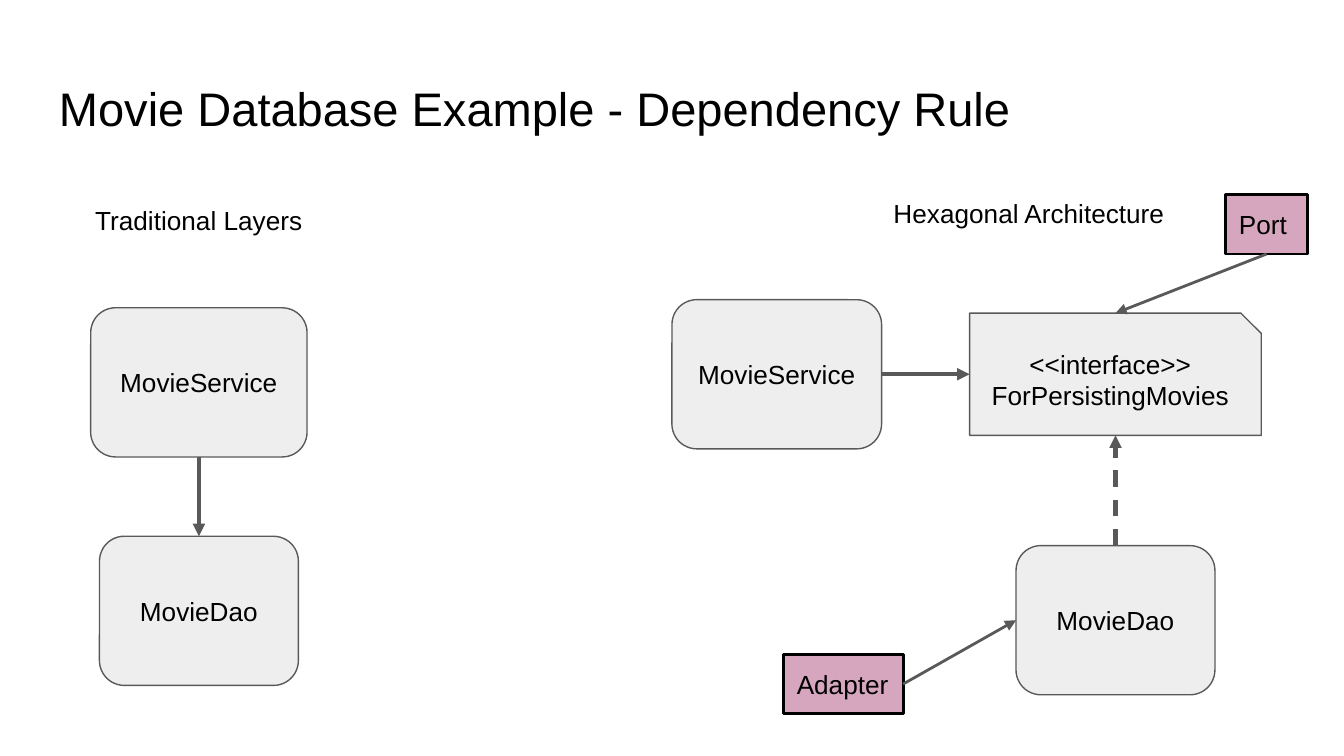
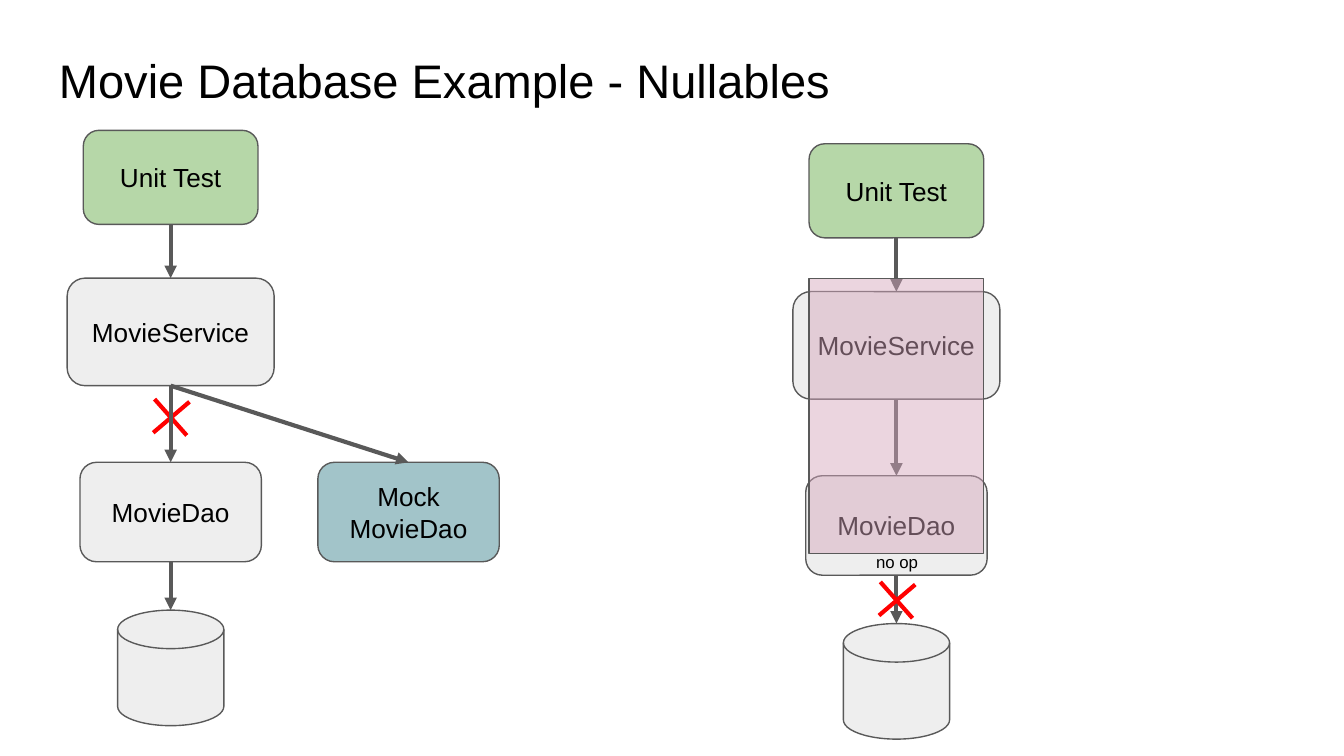
import lxml.etree
import pptx
import pptx.dml.color
import pptx.enum.dml
import pptx.enum.shapes
import pptx.enum.text
import pptx.oxml.ns
import pptx.util

Inches = pptx.util.Inches
Pt = pptx.util.Pt
Shape = pptx.enum.shapes.MSO_SHAPE
Align = pptx.enum.text.PP_ALIGN
Anchor = pptx.enum.text.MSO_ANCHOR
DASH = pptx.enum.dml.MSO_LINE.DASH

SLIDE_SIZE = {"slide_width": Inches(10), "slide_height": Inches(10 * 9 / 16)}
FONT = "Arial"
BLACK, GRAY, DARK_GRAY = "000000", "EEEEEE", "595959"
PINK, GREEN, TEAL, RED = "D5A6BD", "B6D7A8", "A2C4C9", "FF0000"
TOP, LEFT, BOTTOM, RIGHT = range(4)
INSETS = {f"margin_{side}": Inches(0.1) for side in ("left", "top", "right", "bottom")}


def color(hex_string):
    return pptx.dml.color.RGBColor.from_string(hex_string)


def apply_format(target, values):
    for name, value in values.items():
        setattr(target, name, value)


def add_child(parent, tag, **attributes):
    return lxml.etree.SubElement(parent, pptx.oxml.ns.qn(tag), attributes)


def write(shape, text, size=14, align=Align.LEFT, anchor=Anchor.TOP, wrap=True):
    frame = shape.text_frame
    apply_format(frame, {**INSETS, "word_wrap": wrap, "vertical_anchor": anchor})
    frame.text = text
    for paragraph in frame.paragraphs:
        paragraph.alignment = align
        for run in paragraph.runs:
            apply_format(run.font, {"name": FONT, "size": Pt(size)})
            run.font.color.rgb = color(BLACK)


def add_label(slide, text, left, top, width, height=0.44, size=14):
    box = slide.shapes.add_textbox(*map(Inches, (left, top, width, height)))
    write(box, text, size)


def add_title(slide, text, top):
    add_label(slide, text, 0.34, top, 9.32, 0.63, 25.2)


def add_figure(slide, kind, left, top, width, height, fill=GRAY,
               line=DARK_GRAY, line_width=0.75):
    figure = slide.shapes.add_shape(kind, *map(Inches, (left, top, width, height)))
    figure.shadow.inherit = False
    figure.fill.solid()
    figure.fill.fore_color.rgb = color(fill)
    figure.line.color.rgb = color(line)
    figure.line.width = Pt(line_width)
    return figure


def add_node(slide, text, center, top, width, height, fill=GRAY,
             kind=Shape.ROUNDED_RECTANGLE):
    """Add a labelled component, placed by its horizontal centre."""
    node = add_figure(slide, kind, center - width / 2, top, width, height, fill)
    write(node, text, align=Align.CENTER, anchor=Anchor.MIDDLE)
    return node


def add_database(slide, center, top, width=0.79, height=0.86):
    add_figure(slide, Shape.FLOWCHART_MAGNETIC_DISK, center - width / 2, top, width, height)


def add_tag(slide, text, left, top, width):
    tag = add_figure(slide, Shape.RECTANGLE, left, top, width, 0.44, PINK, BLACK, 1.5)
    write(tag, text, wrap=False)
    return tag


def add_line(slide, start=(0, 0), end=(0, 0), line=DARK_GRAY, width=2.25):
    connector = slide.shapes.add_connector(
        pptx.enum.shapes.MSO_CONNECTOR.STRAIGHT, *map(Inches, (*start, *end)))
    connector.line.color.rgb = color(line)
    connector.line.width = Pt(width)
    add_child(connector._element.spPr, "a:effectLst")
    return connector


def add_arrow_head(connector):
    add_child(connector.line._get_or_add_ln(), "a:tailEnd", type="triangle")


def join(slide, source, source_side, target, target_side, width=2.25, dash=None):
    """Draw an arrow between the middles of two sides."""
    arrow = add_line(slide, width=width)
    arrow.begin_connect(source, source_side)
    arrow.end_connect(target, target_side)
    if dash:
        arrow.line.dash_style = dash
    add_arrow_head(arrow)


def add_cross(slide, x, y):
    add_line(slide, (x - 0.12, y - 0.13), (x + 0.12, y + 0.14), RED)
    add_line(slide, (x - 0.13, y + 0.12), (x + 0.14, y - 0.11), RED)


def add_test_stack(slide, center, top):
    """Add the chain from unit test to database; return the service."""
    service = add_node(slide, "MovieService", center, top + 1.1, 1.54, 0.8)
    dao = add_node(slide, "MovieDao", center, top + 2.47, 1.35, 0.74)
    join(slide, service, BOTTOM, dao, TOP)
    test = add_node(slide, "Unit Test", center, top, 1.3, 0.7, GREEN)
    join(slide, test, BOTTOM, service, TOP)
    add_database(slide, center, top + 3.57)
    to_database = add_line(slide, (center, top + 3.21), (center, top + 3.57))
    to_database.begin_connect(dao, BOTTOM)
    add_arrow_head(to_database)
    return service


def build_dependency_rule(slide):
    add_title(slide, "Movie Database Example - Dependency Rule", 0.49)

    service = add_node(slide, "MovieService", 1.48, 2.29, 1.61, 1.11)
    dao = add_node(slide, "MovieDao", 1.48, 3.99, 1.48, 1.11)
    join(slide, service, BOTTOM, dao, TOP)
    add_label(slide, "Traditional Layers", 0.61, 1.42, 1.83)

    service = add_node(slide, "MovieService", 5.78, 2.23, 1.56, 1.11)
    interface = add_node(slide, "<<interface>>\nForPersistingMovies", 8.3, 2.33, 2.17, 0.91,
                         kind=Shape.SNIP_1_RECTANGLE)
    join(slide, service, RIGHT, interface, LEFT)
    dao = add_node(slide, "MovieDao", 8.3, 4.06, 1.48, 1.11)
    join(slide, dao, TOP, interface, BOTTOM, dash=DASH)
    add_label(slide, "Hexagonal Architecture", 6.55, 1.37, 2.44)

    port = add_tag(slide, "Port", 9.12, 1.45, 0.61)
    join(slide, port, BOTTOM, interface, TOP, width=1.5)
    adapter = add_tag(slide, "Adapter", 5.83, 4.87, 0.89)
    join(slide, adapter, RIGHT, dao, LEFT, width=1.5)


def build_nullables(slide):
    add_title(slide, "Movie Database Example - Nullables", 0.28)

    mock = add_node(slide, "Mock\nMovieDao", 3.04, 3.44, 1.35, 0.74, TEAL)
    add_cross(slide, 1.27, 3.1)
    service = add_test_stack(slide, 1.27, 0.97)
    join(slide, service, BOTTOM, mock, TOP)

    add_test_stack(slide, 6.67, 1.07)
    scope = add_figure(slide, Shape.RECTANGLE, 6.02, 2.07, 1.3, 2.05, PINK)
    fill_color = scope._element.spPr.find(".//" + pptx.oxml.ns.qn("a:srgbClr"))
    add_child(fill_color, "a:alpha", val="47000")
    add_cross(slide, 6.67, 4.46)
    add_label(slide, "no op", 6.42, 4.03, 0.52, 0.35, 9)


def main():
    presentation = pptx.Presentation()
    apply_format(presentation, SLIDE_SIZE)
    for build in (build_dependency_rule, build_nullables):
        build(presentation.slides.add_slide(presentation.slide_layouts[6]))
    presentation.save("out.pptx")


if __name__ == "__main__":
    main()
